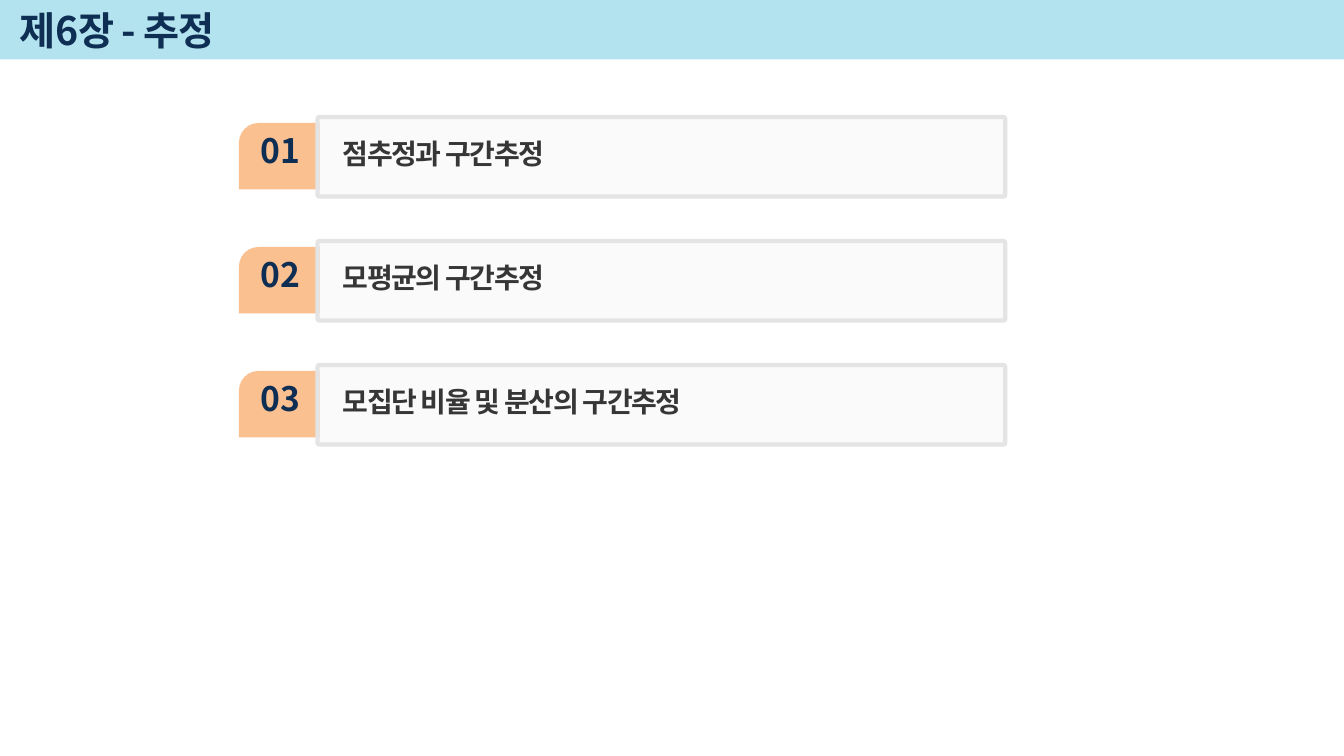
from lxml import etree
from pptx import Presentation
from pptx.dml.color import RGBColor
from pptx.enum.shapes import MSO_SHAPE
from pptx.enum.text import MSO_ANCHOR, PP_ALIGN
from pptx.oxml.ns import qn
from pptx.util import Inches, Pt

RECTANGLE = MSO_SHAPE.RECTANGLE
TAB_SHAPE = MSO_SHAPE.SNIP_ROUND_RECTANGLE
ROUNDED = MSO_SHAPE.ROUNDED_RECTANGLE
MIDDLE, TOP = MSO_ANCHOR.MIDDLE, MSO_ANCHOR.TOP
LEFT, CENTER = PP_ALIGN.LEFT, PP_ALIGN.CENTER

FONT = "Noto Sans CJK KR"
COLORS = {
    "header": "B3E3EE",
    "tab": "FAC090",
    "card": "F2F2F2",
    "border": "E4E4E4",
    "navy": "0F2E53",
    "label": "363636",
}
TOPICS = ["점추정과 구간추정", "모평균의 구간추정", "모집단 비율 및 분산의 구간추정"]
FIRST_ROW, ROW_PITCH = 1.16, 1.23

prs = Presentation()
prs.slide_width, prs.slide_height = Inches(13.33), Inches(7.5)
slide = prs.slides.add_slide(prs.slide_layouts[6])


def add_block(preset, box, color, adjustments=()):
    block = slide.shapes.add_shape(preset, *map(Inches, box))
    block.shadow.inherit = False
    block.fill.solid()
    block.fill.fore_color.rgb = RGBColor.from_string(COLORS[color])
    block.line.fill.background()
    for index, value in enumerate(adjustments):
        block.adjustments[index] = value
    return block


def add_text(text, box, size, color, align=LEFT, anchor=TOP, wrap=True, spacing=0):
    """Add one bold line; spacing is the gap between letters in points."""
    frame = slide.shapes.add_textbox(*map(Inches, box)).text_frame
    frame.text = text
    frame.word_wrap = wrap
    frame.vertical_anchor = anchor
    frame.margin_top = frame.margin_bottom = 0
    paragraph = frame.paragraphs[0]
    paragraph.alignment = align
    run = paragraph.runs[0]
    run.font.name, run.font.size, run.font.bold = FONT, Pt(size), True
    run.font.color.rgb = RGBColor.from_string(COLORS[color])
    properties = run.font._element
    properties.set("spc", str(spacing * 100))
    east_asian = etree.Element(qn("a:ea"), typeface=FONT)
    properties.find(qn("a:latin")).addnext(east_asian)
    return paragraph


add_block(RECTANGLE, (0, -0.02, 13.33, 0.61), "header")
add_text("제6장 - 추정", (0.09, 0.04, 11.35, 0.52), 28, "navy", anchor=MIDDLE, spacing=-1)

for row, topic in enumerate(TOPICS):
    top = FIRST_ROW + row * ROW_PITCH
    add_block(TAB_SHAPE, (2.37, top + 0.06, 0.8, 0.66), "tab", (0.296, 0))

    card = add_block(ROUNDED, (3.15, top, 6.82, 0.79), "card", (0.023,))
    card.line.color.rgb = RGBColor.from_string(COLORS["border"])
    card.line.width = Pt(3)
    card_color = card._element.spPr.find(qn("a:solidFill"))[0]
    etree.SubElement(card_color, qn("a:alpha"), val="33000")

    add_text(f"{row + 1:02}", (2.49, top + 0.13, 0.59, 0.5), 24, "navy", CENTER, wrap=False)
    label = add_text(topic, (3.3, top + 0.16, 5.28, 0.44), 20, "label", spacing=-1)
    label.line_spacing = 1.1
    label.space_after = Pt(3)

prs.save("out.pptx")
